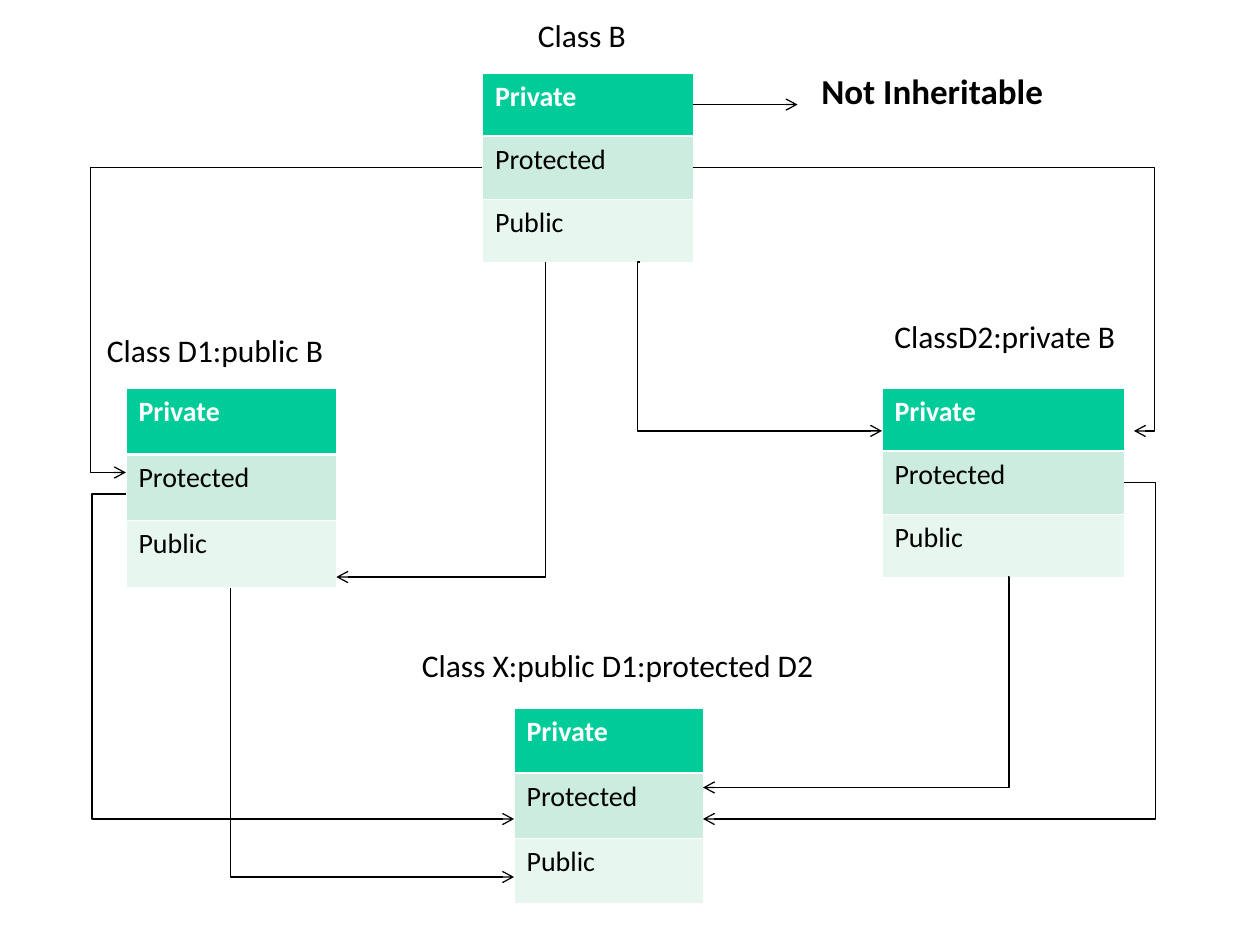
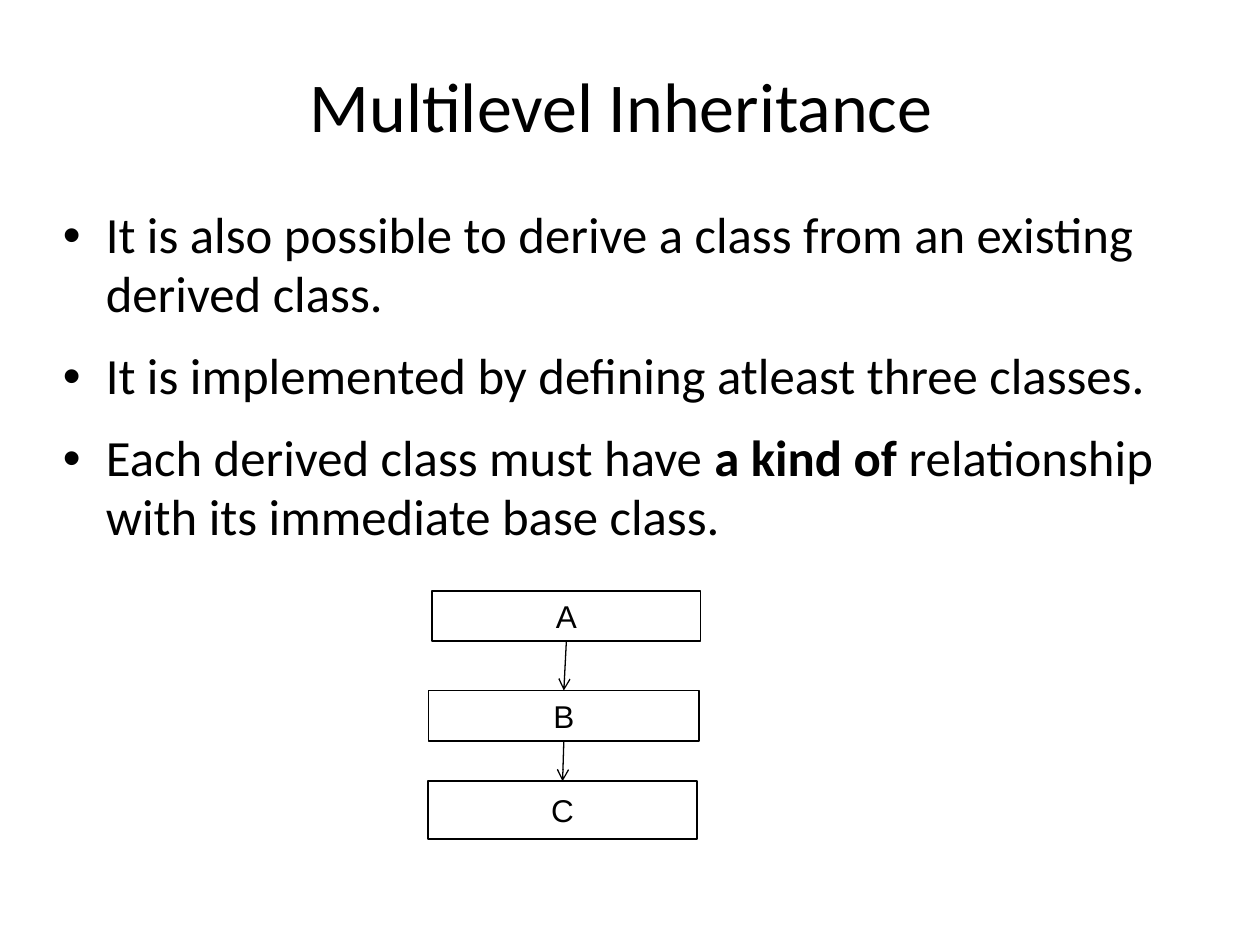
from typing import NamedTuple

from lxml import etree
from pptx import Presentation
from pptx.dml.color import RGBColor
from pptx.enum.shapes import MSO_CONNECTOR, MSO_SHAPE
from pptx.enum.text import MSO_ANCHOR, MSO_AUTO_SIZE, PP_ALIGN
from pptx.oxml.ns import qn
from pptx.util import Inches, Pt

BLACK = RGBColor(0x00, 0x00, 0x00)
WHITE = RGBColor(0xFF, 0xFF, 0xFF)
GREEN = RGBColor(0x00, 0xCC, 0x99)
MINT = RGBColor(0xCB, 0xEC, 0xDE)
PALE_MINT = RGBColor(0xE7, 0xF6, 0xEF)

STRAIGHT, ELBOW = MSO_CONNECTOR.STRAIGHT, MSO_CONNECTOR.ELBOW
RECTANGLE = MSO_SHAPE.RECTANGLE
MIDDLE = MSO_ANCHOR.MIDDLE
LEFT, CENTER = PP_ALIGN.LEFT, PP_ALIGN.CENTER
NO_AUTOFIT = MSO_AUTO_SIZE.NONE
TOP_SIDE, BOTTOM_SIDE = 0, 2

BODY_FONT = "Calibri"
BOX_FONT = "Arial"
LINE_SPACING = 0.97
THIN, THICK = 0.45, 1.47


class Box(NamedTuple):
    left: float
    top: float
    width: float
    height: float

    def lengths(self) -> list:
        return [Inches(value) for value in self]


class Label(NamedTuple):
    text: str
    box: Box
    size: int = 18
    bold: bool = False


class Route(NamedTuple):
    """An elbow that runs level to lane_x, then upright, then level to its end."""
    begin: tuple[float, float]
    lane_x: float
    end: tuple[float, float]


class AccessRow(NamedTuple):
    text: str
    fill: RGBColor
    color: RGBColor
    bold: bool
    top_border: float
    bottom_border: float


class ClassBox(NamedTuple):
    name: str
    box: Box


ACCESS_ROWS = [
    AccessRow("Private", GREEN, WHITE, True, THIN, THICK),
    AccessRow("Protected", MINT, BLACK, False, THICK, THIN),
    AccessRow("Public", PALE_MINT, BLACK, False, THIN, THIN),
]

CLASS_TABLES = [
    Box(3.83, 0.58, 1.67, 1.5),
    Box(1, 3.08, 1.67, 1.58),
    Box(7, 3.08, 1.92, 1.5),
    Box(4.08, 5.62, 1.5, 1.55),
]

LABELS = [
    Label("Class B", Box(4.17, 0.08, 1.5, 0.4)),
    Label("Class D1:public B", Box(0.75, 2.58, 2.08, 0.4)),
    Label("ClassD2:private B", Box(7, 2.47, 2.17, 0.4)),
    Label("Class X:public D1:protected D2", Box(3.25, 5.08, 3.33, 0.4)),
    Label("Not Inheritable", Box(6.42, 0.5, 2.17, 0.44), 20, True),
]

ROUTES = [
    Route((5.5, 1.33), 9.16, (9, 3.42)),
    Route((5.08, 2.08), 5.06, (7, 3.42)),
    Route((3.83, 1.33), 0.72, (1, 3.75)),
    Route((4.33, 2.08), 4.33, (2.67, 4.58)),
    Route((1, 3.92), 0.73, (4.08, 6.5)),
    Route((1.83, 4.67), 1.83, (4.08, 6.96)),
    Route((8.92, 3.83), 9.17, (5.58, 6.5)),
    Route((8, 4.58), 8.01, (5.58, 6.25)),
]

# Each paragraph is a list of (text, bold) runs
BULLETS = [
    [("It is also possible to derive a class from an existing derived class.", False)],
    [("It is implemented by defining atleast three classes.", False)],
    [("Each derived class must have ", False), ("a kind of ", True),
     ("relationship with its immediate base class.", False)],
]

CHAIN = [
    ClassBox("A", Box(3.43, 4.69, 2.13, 0.4)),
    ClassBox("B", Box(3.4, 5.48, 2.15, 0.4)),
    ClassBox("C", Box(3.4, 6.2, 2.13, 0.46)),
]


def add_text(paragraph, text: str, *, size: float, font: str = BODY_FONT,
             color: RGBColor = BLACK, bold: bool = False, align=LEFT) -> None:
    paragraph.alignment = align
    run = paragraph.add_run()
    run.text = text
    run.font.size = Pt(size)
    run.font.name = font
    run.font.bold = bold
    run.font.color.rgb = color


def set_margins(frame, left: float, top: float, right: float, bottom: float) -> None:
    frame.margin_left, frame.margin_top = Inches(left), Inches(top)
    frame.margin_right, frame.margin_bottom = Inches(right), Inches(bottom)


# Lines and arrows
def add_arrow(slide, kind, begin: tuple[float, float], end: tuple[float, float]):
    points = [Inches(value) for value in (*begin, *end)]
    connector = slide.shapes.add_connector(kind, *points)
    connector.line.color.rgb = BLACK
    connector.line.width = Pt(0.75)
    line = connector.line._get_or_add_ln()
    etree.SubElement(line, qn("a:tailEnd"), type="arrow")
    etree.SubElement(connector._element.spPr, qn("a:effectLst"))
    return connector


def add_route(slide, route: Route) -> None:
    connector = add_arrow(slide, ELBOW, route.begin, route.end)
    begin_x, end_x = route.begin[0], route.end[0]
    bend = round((route.lane_x - begin_x) / (end_x - begin_x) * 100000)
    geometry = connector._element.spPr.find(qn("a:prstGeom"))
    adjustments = geometry.find(qn("a:avLst"))
    etree.SubElement(adjustments, qn("a:gd"), name="adj1", fmla=f"val {bend}")


# Class tables
def set_borders(cell, top: float, bottom: float) -> None:
    properties = cell._tc.get_or_add_tcPr()
    for side, width in (("L", THIN), ("R", THIN), ("T", top), ("B", bottom)):
        border = etree.SubElement(properties, qn(f"a:ln{side}"), w=str(Pt(width)))
        fill = etree.SubElement(border, qn("a:solidFill"))
        etree.SubElement(fill, qn("a:srgbClr"), val=str(WHITE))


def add_class_table(slide, box: Box) -> None:
    frame = slide.shapes.add_table(len(ACCESS_ROWS), 1, *box.lengths())
    table = frame.table
    table.horz_banding = False
    for index, access in enumerate(ACCESS_ROWS):
        table.rows[index].height = Inches(box.height / len(ACCESS_ROWS))
        cell = table.cell(index, 0)
        set_margins(cell, 0.1, 0.05, 0.1, 0.05)
        set_borders(cell, access.top_border, access.bottom_border)
        cell.fill.solid()
        cell.fill.fore_color.rgb = access.fill
        add_text(cell.text_frame.paragraphs[0], access.text, size=16,
                 color=access.color, bold=access.bold)


def add_label(slide, label: Label) -> None:
    frame = slide.shapes.add_textbox(*label.box.lengths()).text_frame
    frame.word_wrap = True
    set_margins(frame, 0.1, 0.05, 0.1, 0.05)
    add_text(frame.paragraphs[0], label.text, size=label.size, bold=label.bold)


# Title, bullets and class boxes
def set_title(slide, text: str) -> None:
    title = slide.shapes.title
    title.left, title.top, title.width, title.height = Box(0.5, 0.3, 8.86, 1.12).lengths()
    frame = title.text_frame
    frame.auto_size = NO_AUTOFIT
    frame.vertical_anchor = MIDDLE
    set_margins(frame, 0.09, 0.05, 0.09, 0.05)
    paragraph = frame.paragraphs[0]
    paragraph.line_spacing = LINE_SPACING
    add_text(paragraph, text, size=40, align=CENTER)


def add_bullet(paragraph) -> None:
    properties = paragraph._p.get_or_add_pPr()
    properties.set("marL", str(Inches(0.34)))
    properties.set("indent", str(Inches(-0.34)))
    etree.SubElement(properties, qn("a:buFont"), typeface=BOX_FONT)
    etree.SubElement(properties, qn("a:buChar"), char="•")


def add_bullets(slide, box: Box) -> None:
    frame = slide.shapes.add_textbox(*box.lengths()).text_frame
    frame.word_wrap = True
    set_margins(frame, 0, 0.17, 0, 0)
    for index, runs in enumerate(BULLETS):
        paragraph = frame.add_paragraph() if index else frame.paragraphs[0]
        add_bullet(paragraph)
        paragraph.line_spacing = LINE_SPACING
        paragraph.space_after = Pt(12.9)
        for text, bold in runs:
            add_text(paragraph, text, size=29, bold=bold)


def add_class_box(slide, class_box: ClassBox):
    shape = slide.shapes.add_shape(RECTANGLE, *class_box.box.lengths())
    shape.shadow.inherit = False
    shape.fill.solid()
    shape.fill.fore_color.rgb = WHITE
    shape.line.color.rgb = BLACK
    shape.line.width = Pt(1)
    frame = shape.text_frame
    frame.word_wrap = False
    frame.vertical_anchor = MIDDLE
    set_margins(frame, 0.1, 0.05, 0.1, 0.05)
    add_text(frame.paragraphs[0], class_box.name, size=18, font=BOX_FONT, align=CENTER)
    return shape


# Slides
def build_access_slide(presentation) -> None:
    slide = presentation.slides.add_slide(presentation.slide_layouts[6])
    for box in CLASS_TABLES:
        add_class_table(slide, box)
    for label in LABELS:
        add_label(slide, label)
    add_arrow(slide, STRAIGHT, (5.5, 0.83), (6.33, 0.83))
    for route in ROUTES:
        add_route(slide, route)


def build_multilevel_slide(presentation) -> None:
    slide = presentation.slides.add_slide(presentation.slide_layouts[5])
    set_title(slide, "Multilevel Inheritance")
    add_bullets(slide, Box(0.5, 1.47, 8.86, 5.1))
    shapes = [add_class_box(slide, class_box) for class_box in CHAIN]
    for upper, lower in zip(shapes, shapes[1:]):
        connector = add_arrow(slide, STRAIGHT, (0, 0), (1, 1))
        connector.begin_connect(upper, BOTTOM_SIDE)
        connector.end_connect(lower, TOP_SIDE)


def main() -> None:
    presentation = Presentation()
    presentation.slide_width = Inches(10)
    presentation.slide_height = Inches(7.5)
    build_access_slide(presentation)
    build_multilevel_slide(presentation)
    presentation.save("out.pptx")


if __name__ == "__main__":
    main()
